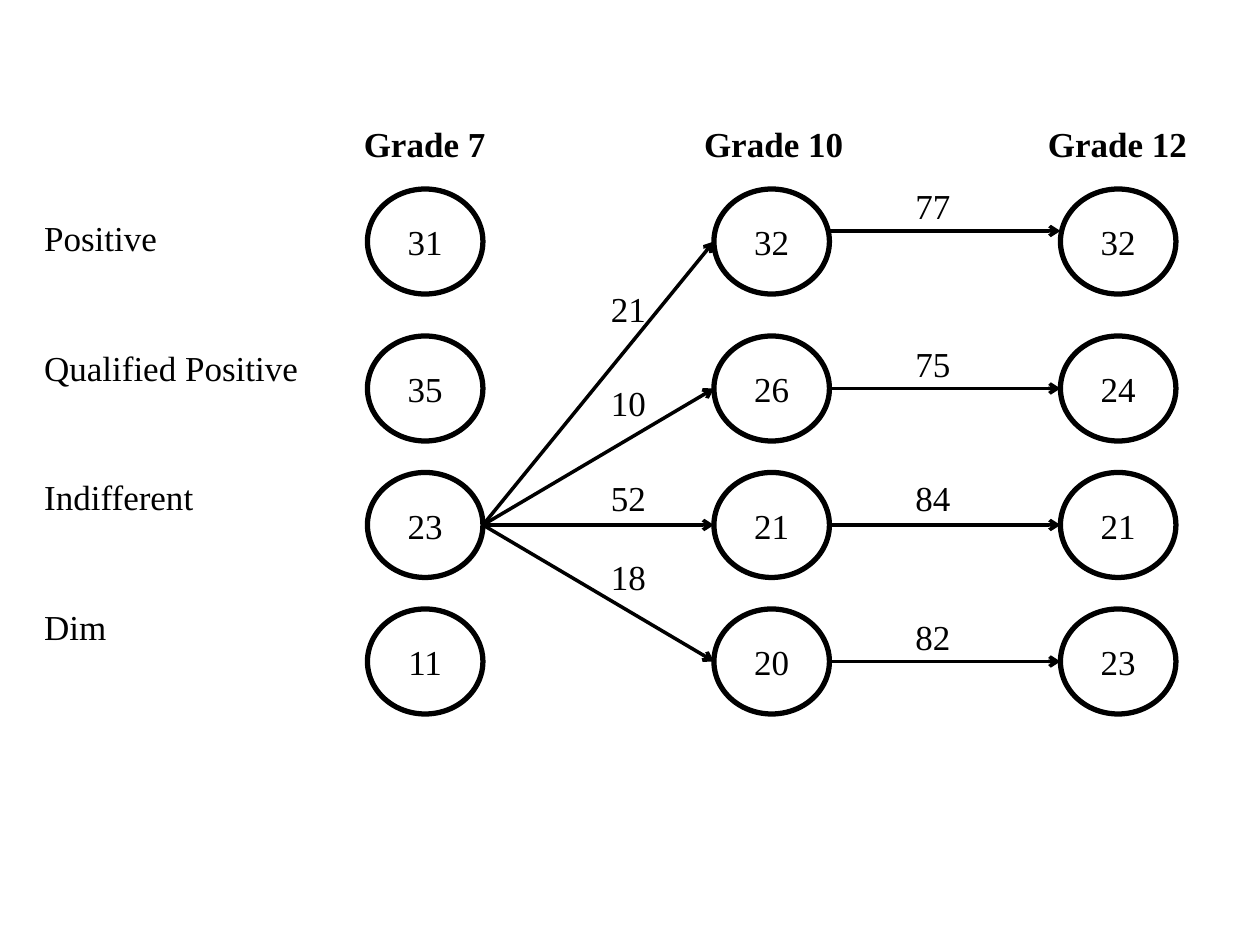
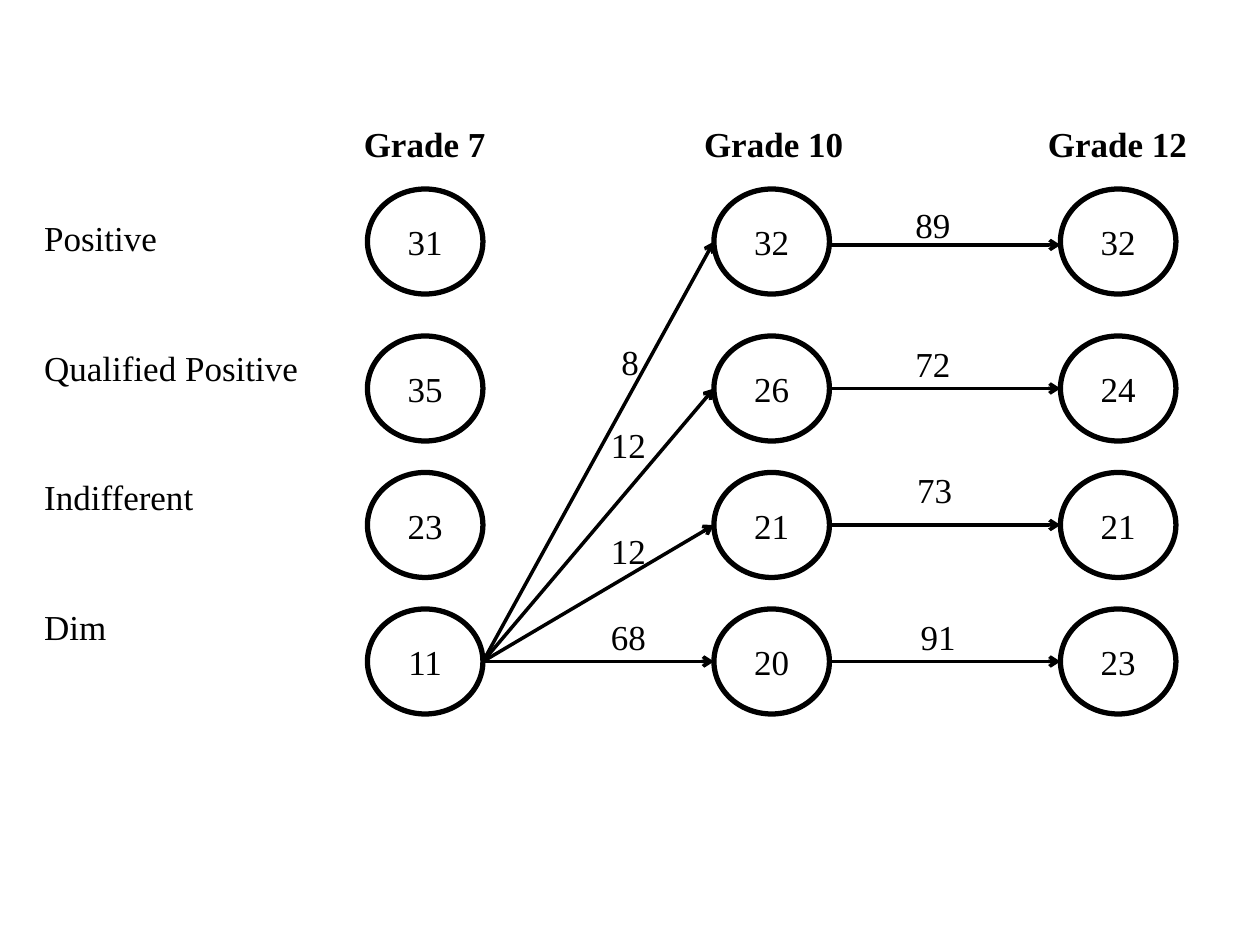
from lxml.etree import SubElement
from pptx import Presentation
from pptx.dml.color import RGBColor
from pptx.enum.shapes import MSO_CONNECTOR, MSO_SHAPE
from pptx.enum.text import MSO_ANCHOR, MSO_AUTO_SIZE, PP_ALIGN
from pptx.oxml.ns import qn
from pptx.util import Pt

INK = RGBColor(0x00, 0x00, 0x00)

GRADES = {"Grade 7": (31, 35, 23, 11), "Grade 10": (32, 26, 21, 20), "Grade 12": (32, 24, 21, 23)}
ATTITUDES = ("Positive", "Qualified Positive", "Indifferent", "Dim")

TRANSITIONS = [
    {
        "source": 2,
        "top_arrow_y": 132,
        "from_grade_7": [("21", 342, 160.5), ("10", 342, 214.5), ("52", 342, 268.5), ("18", 342, 314)],
        "from_grade_10": [("77", 516, 102), ("75", 516, 192), ("84", 516, 268.5), ("82", 516, 348)],
    },
    {
        "source": 3,
        "top_arrow_y": 140,
        "from_grade_7": [("8", 348, 191), ("12", 342, 238.5), ("12", 342, 299), ("68", 342, 348)],
        "from_grade_10": [("89", 516, 112.5), ("72", 516, 192), ("73", 517, 264), ("91", 519, 348)],
    },
]

GRID_LEFT, GRID_TOP = 18, 68.4
COLUMN_WIDTHS = (176.4, 96.5, 96.5, 109.4, 72.7, 138.3)
HEADER_HEIGHT, ATTITUDE_HEIGHT = 31.8, 74
CIRCLE_WIDTH, CIRCLE_HEIGHT = 66, 60
CIRCLE_LEFTS = [210 + 198 * grade for grade in range(len(GRADES))]
CIRCLE_TOPS = (108, 192, 270, 348)
CENTRES = [top + CIRCLE_HEIGHT / 2 for top in CIRCLE_TOPS]
LABEL_WIDTH, LABEL_HEIGHT = 42, 32

FONT = {"name": "Times New Roman", "size": Pt(20), "bold": False}
CIRCLE_FRAME = {"vertical_anchor": MSO_ANCHOR.MIDDLE, "word_wrap": True}
LABEL_FRAME = {"word_wrap": True, "auto_size": MSO_AUTO_SIZE.SHAPE_TO_FIT_TEXT}


def apply(target, formats):
    for attribute, value in formats.items():
        setattr(target, attribute, value)


def write(frame, text, align=PP_ALIGN.LEFT, **changes):
    paragraph = frame.paragraphs[0]
    paragraph.alignment = align
    run = paragraph.add_run()
    run.text = text
    apply(run.font, {**FONT, **changes})
    run.font.color.rgb = INK


def add_grid(slide):
    heights = [HEADER_HEIGHT] + [ATTITUDE_HEIGHT] * len(ATTITUDES)
    grid = slide.shapes.add_table(
        len(heights), len(COLUMN_WIDTHS), Pt(GRID_LEFT), Pt(GRID_TOP),
        Pt(sum(COLUMN_WIDTHS)), Pt(sum(heights))).table
    apply(grid, {"first_row": False, "horz_banding": False})
    for column, width in zip(grid.columns, COLUMN_WIDTHS):
        column.width = Pt(width)
    for row, height in zip(grid.rows, heights):
        row.height = Pt(height)
    for cell in grid.iter_cells():
        cell.fill.background()
    for index, grade in enumerate(GRADES):
        write(grid.cell(0, 2 * index + 1).text_frame, grade, PP_ALIGN.CENTER, bold=True)
    for index, attitude in enumerate(ATTITUDES, start=1):
        cell = grid.cell(index, 0)
        cell.vertical_anchor = MSO_ANCHOR.MIDDLE
        write(cell.text_frame, attitude)


def add_circle(slide, left, top, share):
    circle = slide.shapes.add_shape(
        MSO_SHAPE.OVAL, Pt(left), Pt(top), Pt(CIRCLE_WIDTH), Pt(CIRCLE_HEIGHT))
    circle.shadow.inherit = False
    circle.fill.background()
    circle.line.color.rgb = INK
    circle.line.width = Pt(3)
    apply(circle.text_frame, CIRCLE_FRAME)
    write(circle.text_frame, str(share), PP_ALIGN.CENTER)


def add_arrow(slide, grade, start_y, end_y):
    arrow = slide.shapes.add_connector(
        MSO_CONNECTOR.STRAIGHT, Pt(CIRCLE_LEFTS[grade] + CIRCLE_WIDTH), Pt(start_y),
        Pt(CIRCLE_LEFTS[grade + 1]), Pt(end_y))
    arrow.line.color.rgb = INK
    arrow.line.width = Pt(2)
    SubElement(arrow.line._get_or_add_ln(), qn("a:tailEnd"), type="arrow")
    SubElement(arrow._element.spPr, qn("a:effectLst"))


def add_label(slide, percent, left, top):
    label = slide.shapes.add_textbox(Pt(left), Pt(top), Pt(LABEL_WIDTH), Pt(LABEL_HEIGHT))
    apply(label.text_frame, LABEL_FRAME)
    write(label.text_frame, percent)


def add_transition_slide(deck, transition):
    slide = deck.slides.add_slide(deck.slide_layouts[6])
    add_grid(slide)
    for left, shares in zip(CIRCLE_LEFTS, GRADES.values()):
        for top, share in zip(CIRCLE_TOPS, shares):
            add_circle(slide, left, top, share)
    for centre in CENTRES:
        add_arrow(slide, 0, CENTRES[transition["source"]], centre)
    for level in [transition["top_arrow_y"], *CENTRES[1:]]:
        add_arrow(slide, 1, level, level)
    for percent, left, top in transition["from_grade_7"] + transition["from_grade_10"]:
        add_label(slide, percent, left, top)


def main():
    deck = Presentation()
    apply(deck, {"slide_width": Pt(720), "slide_height": Pt(540)})
    for transition in TRANSITIONS:
        add_transition_slide(deck, transition)
    deck.save("out.pptx")


if __name__ == "__main__":
    main()
